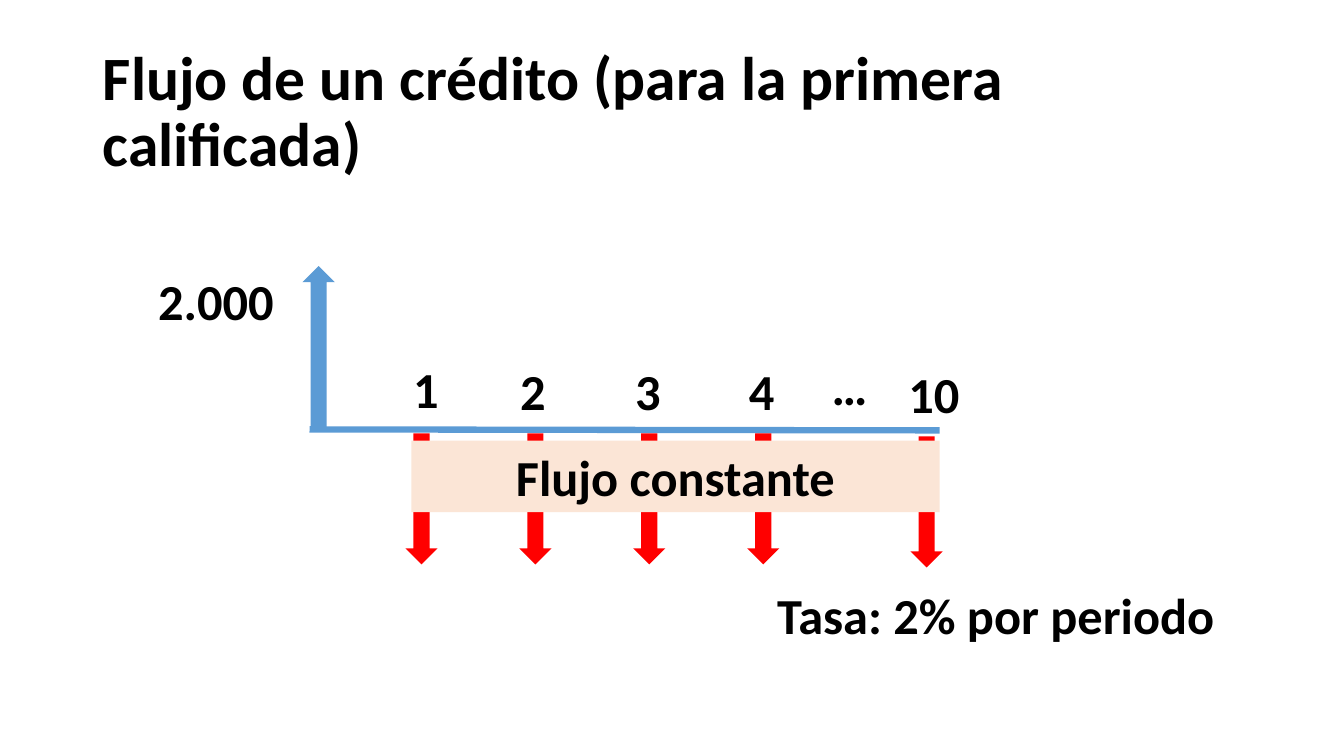
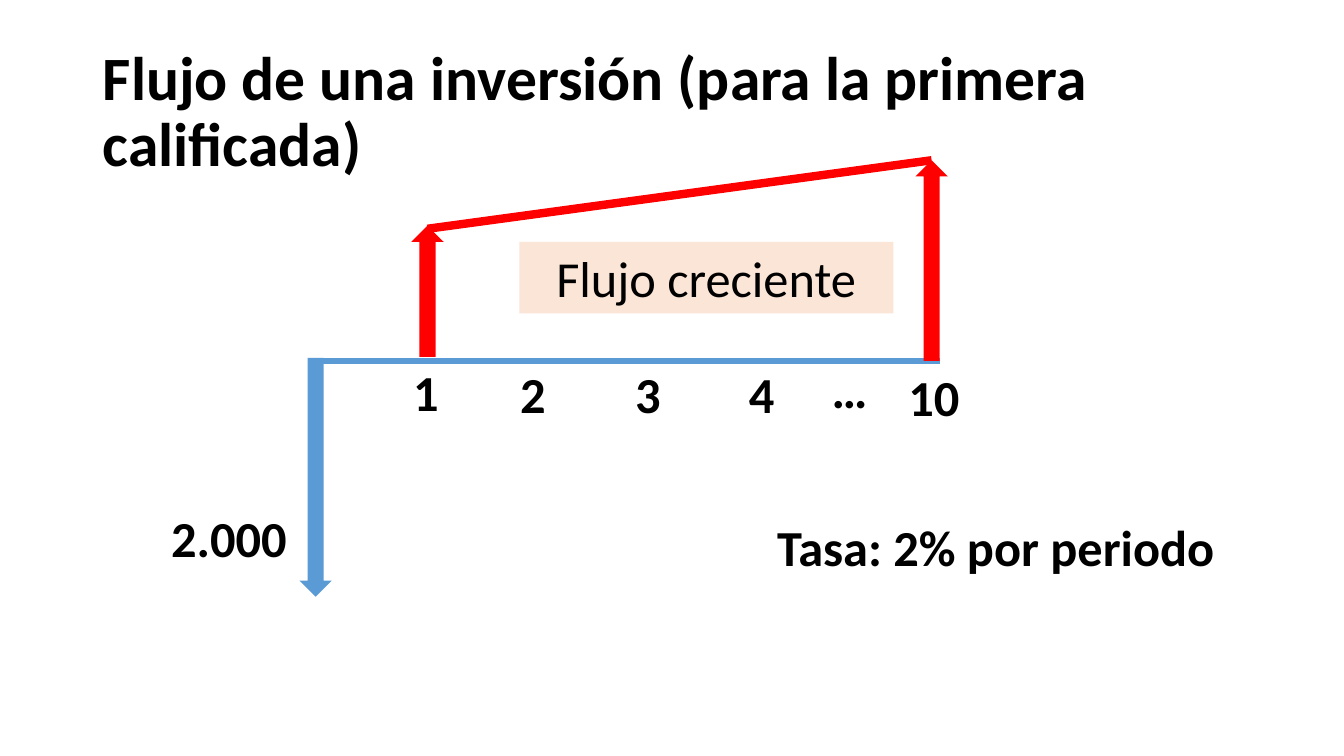
from lxml.etree import SubElement
from pptx import Presentation
from pptx.dml.color import RGBColor
from pptx.enum.shapes import MSO_CONNECTOR, MSO_SHAPE
from pptx.enum.text import MSO_ANCHOR, MSO_AUTO_SIZE, PP_ALIGN
from pptx.oxml.ns import qn
from pptx.util import Pt

SCALE = 9144
FONT = "Calibri"
BLACK, BLUE, RED, PEACH = "000000", "5B9BD5", "FF0000", "FBE5D6"
BREADTH = 32
TICKS = [("…", 815, -3, 56), ("1", 400, 0, 46), ("2", 506, 2, 46),
         ("3", 620, 2, 46), ("4", 733, 2, 46), ("10", 891, 5, 71)]


def px(*sizes):
    return [size * SCALE for size in sizes]


def color(code):
    return RGBColor.from_string(code)


def style(shape, text, size=36, bold=True, align=PP_ALIGN.LEFT):
    frame = shape.text_frame
    frame.text = text
    line = frame.paragraphs[0]
    line.alignment = align
    font = line.runs[0].font
    font.name = FONT
    font.size = Pt(size)
    font.bold = bold
    font.color.rgb = color(BLACK)
    return frame


def add_title(deck, text):
    slide = deck.slides.add_slide(deck.slide_layouts[5])
    title = slide.shapes.title
    title.left, title.top, title.width, title.height = px(92, 40, 1150, 145)
    frame = style(title, text, size=44)
    frame.vertical_anchor = MSO_ANCHOR.MIDDLE
    frame.auto_size = MSO_AUTO_SIZE.NONE
    frame.paragraphs[0].line_spacing = 0.9
    return slide


def add_label(slide, text, left, top, width):
    box = slide.shapes.add_textbox(*px(left, top, width, 71))
    frame = style(box, text)
    frame.word_wrap = False
    frame.auto_size = MSO_AUTO_SIZE.SHAPE_TO_FIT_TEXT


def add_shape(slide, kind, left, top, width, height, fill):
    shape = slide.shapes.add_shape(kind, *px(left, top, width, height))
    shape.shadow.inherit = False
    shape.fill.solid()
    shape.fill.fore_color.rgb = color(fill)
    shape.line.fill.background()
    return shape


def add_arrow(slide, kind, center, top, length, fill):
    add_shape(slide, kind, center - BREADTH // 2, top, BREADTH, length, fill)


def add_band(slide, text, left, top, width, bold):
    band = add_shape(slide, MSO_SHAPE.RECTANGLE, left, top, width, 71, PEACH)
    frame = style(band, text, bold=bold, align=PP_ALIGN.CENTER)
    frame.word_wrap = True


def add_line(slide, start, end, fill, weight):
    line = slide.shapes.add_connector(
        MSO_CONNECTOR.STRAIGHT, *px(*start, *end))
    line.line.color.rgb = color(fill)
    line.line.width = Pt(weight)
    SubElement(line._element.spPr, qn("a:effectLst"))


def add_ticks(slide, top):
    for text, left, shift, width in TICKS:
        add_label(slide, text, left, top + shift, width)


def add_rate(slide, top):
    add_label(slide, "Tasa: 2% por periodo", 761, top, 458)


def add_credit(deck):
    slide = add_title(deck, "Flujo de un crédito (para la primera calificada)")
    add_line(slide, (307, 426), (932, 427), BLUE, 4.5)
    add_arrow(slide, MSO_SHAPE.UP_ARROW, 316, 264, 163, BLUE)
    add_label(slide, "2.000", 147, 263, 136)
    for step in range(4):
        add_arrow(slide, MSO_SHAPE.DOWN_ARROW, 418 + 113 * step, 430, 130, RED)
    add_arrow(slide, MSO_SHAPE.DOWN_ARROW, 919, 433, 130, RED)
    add_ticks(slide, 350)
    add_band(slide, "Flujo constante", 408, 437, 524, True)
    add_rate(slide, 575)


def add_invest(deck):
    slide = add_title(
        deck, "Flujo de una inversión (para la primera calificada)")
    add_line(slide, (307, 358), (932, 358), BLUE, 4.5)
    add_arrow(slide, MSO_SHAPE.DOWN_ARROW, 313, 355, 237, BLUE)
    add_label(slide, "2.000", 160, 498, 136)
    add_arrow(slide, MSO_SHAPE.UP_ARROW, 424, 224, 130, RED)
    add_arrow(slide, MSO_SHAPE.UP_ARROW, 924, 159, 199, RED)
    add_ticks(slide, 353)
    add_band(slide, "Flujo creciente", 515, 240, 371, False)
    add_rate(slide, 507)
    add_line(slide, (424, 227), (924, 159), RED, 6)


def main():
    deck = Presentation()
    deck.slide_width, deck.slide_height = px(1333, 750)
    add_credit(deck)
    add_invest(deck)
    deck.save("out.pptx")


if __name__ == "__main__":
    main()
